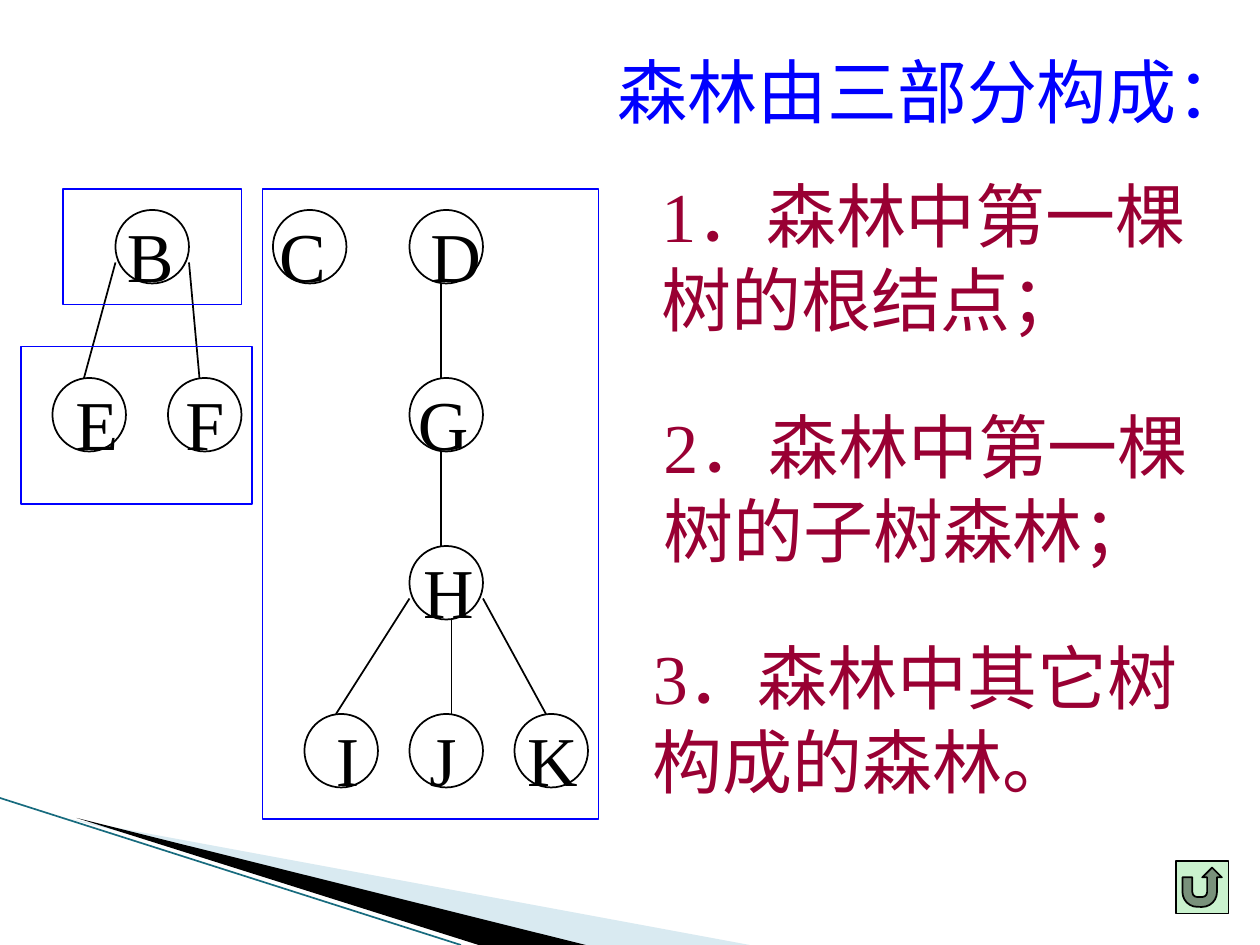
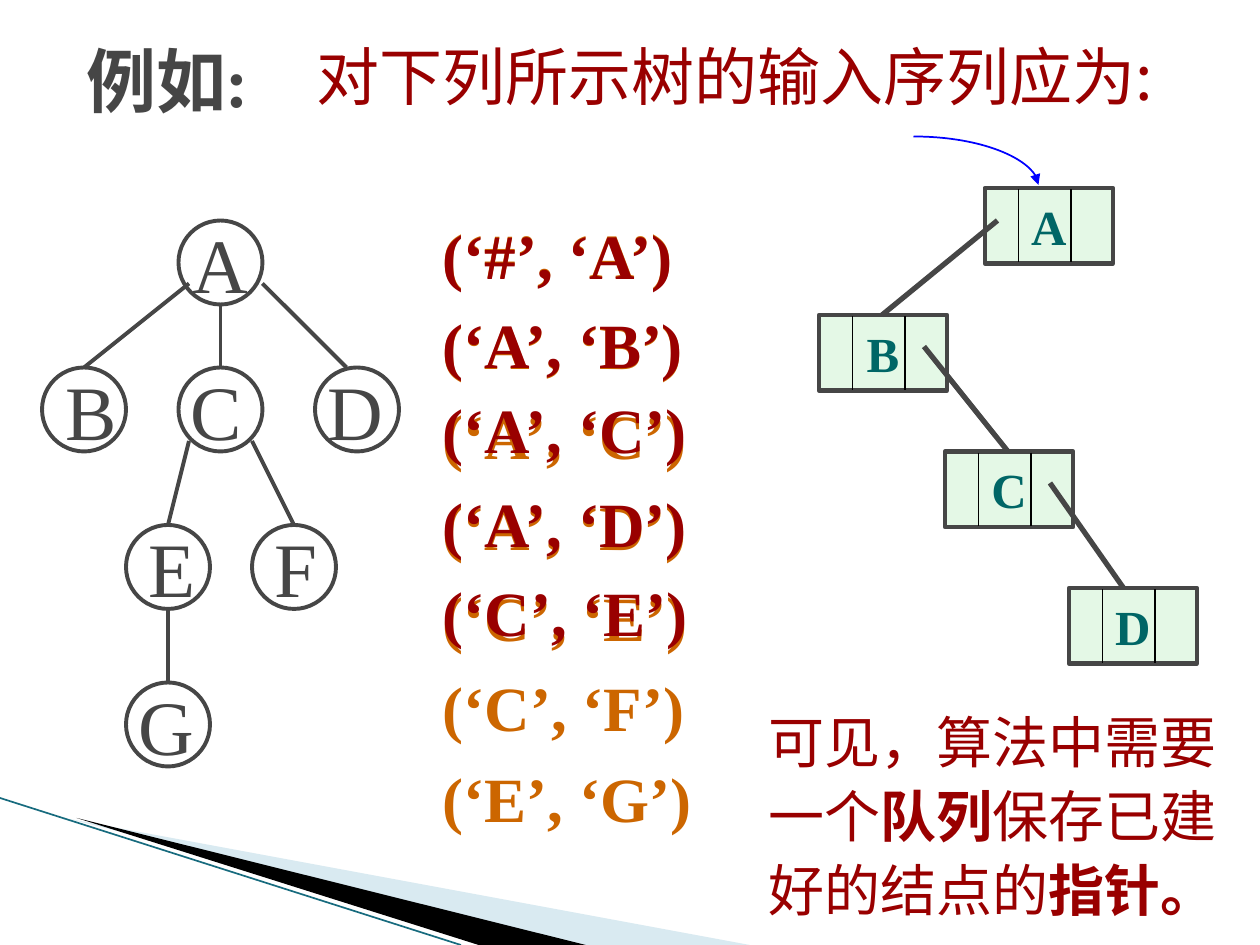
from dataclasses import dataclass, replace
from typing import NamedTuple

from lxml import etree
from pptx import Presentation
from pptx import util as u
from pptx.dml.color import RGBColor
from pptx.enum import shapes, text
from pptx.oxml.ns import qn

WIDTH, HEIGHT = u.Inches(10), u.Inches(7.5)
CELL = WIDTH // 120

BLACK = RGBColor(0x00, 0x00, 0x00)
BLUE = RGBColor(0x00, 0x00, 0xFF)
WINE = RGBColor(0x99, 0x00, 0x33)
RED = RGBColor(0x99, 0x00, 0x00)
ORANGE = RGBColor(0xCC, 0x66, 0x00)
GRAY = RGBColor(0x46, 0x46, 0x46)
GREEN = RGBColor(0xCA, 0xF2, 0xCE)
TEAL = RGBColor(0x00, 0x66, 0x66)
SKY = RGBColor(0xA0, 0xCB, 0xDC)
EDGE = RGBColor(0x17, 0x6B, 0x7E)

TIMES = "Times New Roman"
NOTO = "Noto Sans CJK SC"


@dataclass(frozen=True)
class Style:
    size: float
    color: RGBColor
    font: str = TIMES
    bold: bool = False


class Node(NamedTuple):
    name: str
    col: float
    row: float
    shift: float = 0


class Link(NamedTuple):
    x1: float
    y1: float
    x2: float
    y2: float


class Frame(NamedTuple):
    col: float
    row: float
    wide: float
    high: float


class Part(NamedTuple):
    words: str
    style: Style


class Tree(NamedTuple):
    nodes: list[Node]
    links: list[Link]
    size: float
    drop: float
    pen: float
    style: Style


FOREST = Tree(
    [Node("B", 11, 20, -0.2), Node("C", 26, 20, -0.7), Node("D", 39, 20, 0.9),
     Node("E", 5, 36, 0.7), Node("F", 16, 36), Node("G", 39, 36, -0.3),
     Node("H", 39, 52, 0.2), Node("I", 29, 68, 0.6), Node("J", 39, 68, -0.3),
     Node("K", 49, 68, 0.1)],
    [Link(11, 25, 8, 36), Link(18, 25, 19, 36), Link(42, 27, 42, 36),
     Link(42, 43, 42, 52), Link(43, 59, 43, 68), Link(39, 57, 32, 68),
     Link(46, 57, 52, 68)],
    7, 0.2, 1, Style(40, BLACK))

SAMPLE = Tree(
    [Node("A", 17, 21), Node("B", 4, 35, 0.7), Node("C", 17, 35, -0.4),
     Node("D", 30, 35, -0.2), Node("E", 12, 50, 0.4), Node("F", 24, 50, 0.2),
     Node("G", 12, 65, -0.2)],
    [Link(25, 27, 33, 35), Link(18, 27, 8, 35), Link(18, 42, 16, 50),
     Link(21, 29, 21, 35), Link(24, 42, 28, 50), Link(16, 58, 16, 65)],
    8, -0.4, 2.25, Style(44, GRAY))

GROUPS = [Frame(6, 18, 17, 11), Frame(2, 33, 22, 15), Frame(25, 18, 32, 60)]
POINTS = [
    (Frame(61.8, 15.8, 56.2, 17.2), "1", "．森林中第一棵树的根结点；"),
    (Frame(62, 37.8, 55, 17.2), "2", "．森林中第一棵树的子树森林；"),
    (Frame(61, 59.8, 56.8, 17.2), "3", "．森林中其它树构成的森林。"),
]
PAIRS = ["#A", "AB", "AC", "AD", "CE", "CF", "EG"]
QUEUE_ROWS = [20, 28.5, 36.6, 45.6, 54]
RECORDS = [Node("A", 93.8, 17.9), Node("B", 78, 30), Node("C", 90, 43),
           Node("D", 101.8, 56)]
JOINS = [Link(88, 33, 96, 43), Link(100, 46, 107, 56), Link(95, 21, 84, 30)]


def span(*cells: float) -> list[int]:
    return [round(cell * CELL) for cell in cells]


def add_run(para, part: Part) -> None:
    run = para.add_run()
    run.text = part.words
    font = run.font
    font.name, font.size = part.style.font, u.Pt(part.style.size)
    font.bold, font.color.rgb = part.style.bold, part.style.color
    east = etree.SubElement(font._element, qn("a:ea"))
    east.set("typeface", NOTO)


def write(shape, lines: list[list[Part]], wrap: bool = True,
          align=text.PP_ALIGN.LEFT, anchor=text.MSO_ANCHOR.TOP,
          pace: float = 1, inset: bool = True) -> None:
    frame = shape.text_frame
    frame.auto_size = text.MSO_AUTO_SIZE.NONE
    frame.word_wrap, frame.vertical_anchor = wrap, anchor
    if not inset:
        frame.margin_left = frame.margin_right = 0
        frame.margin_top = frame.margin_bottom = 0
    for index, line in enumerate(lines):
        para = frame.add_paragraph() if index else frame.paragraphs[0]
        para.alignment, para.line_spacing = align, pace
        for part in line:
            add_run(para, part)


def add_text(slide, area: Frame, lines: list[list[Part]], **look) -> None:
    write(slide.shapes.add_textbox(*span(*area)), lines, **look)


def set_title(slide, area: Frame, part: Part) -> None:
    title = slide.shapes.title
    title.left, title.top, title.width, title.height = span(*area)
    write(title, [[part]], wrap=False)


def paint(shape, color: RGBColor, alpha: int = 100) -> None:
    shape.fill.solid()
    shape.fill.fore_color.rgb = color
    if alpha < 100:
        tone = next(shape._element.spPr.iter(qn("a:srgbClr")))
        etree.SubElement(tone, qn("a:alpha")).set("val", str(alpha * 1000))


def add_shape(slide, kind, area: Frame, color: RGBColor, pen: float):
    shape = slide.shapes.add_shape(kind, *span(*area))
    shape.shadow.inherit = False
    shape.fill.background()
    shape.line.color.rgb, shape.line.width = color, u.Pt(pen)
    return shape


def add_line(slide, link: Link, color: RGBColor, pen: float,
             kind=shapes.MSO_CONNECTOR.STRAIGHT):
    line = slide.shapes.add_connector(kind, *span(*link))
    line.line.color.rgb, line.line.width = color, u.Pt(pen)
    etree.SubElement(line._element.spPr, qn("a:effectLst"))
    return line


def add_arrow(slide, link: Link) -> None:
    arrow = add_line(slide, link, BLUE, 1, shapes.MSO_CONNECTOR.CURVE)
    props = arrow._element.spPr
    props.find(qn("a:prstGeom")).set("prst", "curvedConnector2")
    etree.SubElement(props.find(qn("a:ln")), qn("a:tailEnd")).set("type", "triangle")


def add_wedge(slide, corners: list[tuple[float, float]], color: RGBColor,
              alpha: int = 100):
    start, *rest = [tuple(span(*corner)) for corner in corners]
    pen = slide.shapes.build_freeform(*start)
    pen.add_line_segments(rest)
    wedge = pen.convert_to_shape()
    wedge.shadow.inherit = False
    wedge.line.fill.background()
    paint(wedge, color, alpha)
    return wedge


def set_band(slide, master) -> None:
    band = [
        add_wedge(slide, [(6.6, 78), (71.4, 90), (54.7, 90)], SKY, 40),
        add_wedge(slide, [(7.3, 77.9), (55.8, 90), (45.6, 90)], BLACK),
        add_line(slide, Link(0, 76, 43.9, 90), EDGE, 0.95),
    ]
    for item in band:
        master.shapes.element.append(item._element)


def draw_tree(slide, tree: Tree) -> None:
    size = tree.size
    for node in tree.nodes:
        add_shape(slide, shapes.MSO_SHAPE.OVAL,
                  Frame(node.col, node.row, size, size), tree.style.color, tree.pen)
        add_text(slide, Frame(node.col + node.shift, node.row + tree.drop, size, size),
                 [[Part(node.name, tree.style)]], wrap=True,
                 align=text.PP_ALIGN.CENTER, inset=False)
    for link in tree.links:
        add_line(slide, link, tree.style.color, tree.pen)


def draw_record(slide, node: Node) -> None:
    box = add_shape(slide, shapes.MSO_SHAPE.RECTANGLE,
                    Frame(node.col, node.row, 12.2, 7.2), GRAY, 2.5)
    paint(box, GREEN, 50)
    write(box, [[Part(node.name, Style(28, TEAL, bold=True))]],
          align=text.PP_ALIGN.CENTER, anchor=text.MSO_ANCHOR.MIDDLE)
    for step in (3.2, 8.2):
        col = node.col + step
        add_line(slide, Link(col, node.row + 0.1, col, node.row + 7.1), BLACK, 1)


def fill_forest(slide) -> None:
    set_title(slide, Frame(57.6, 4, 62.4, 9.2),
              Part("森林由三部分构成：", Style(40, BLUE)))
    draw_tree(slide, FOREST)
    for group in GROUPS:
        add_shape(slide, shapes.MSO_SHAPE.RECTANGLE, group, BLUE, 1)
    count = Style(40, WINE)
    for area, mark, words in POINTS:
        add_text(slide, area,
                 [[Part(mark, count), Part(words, replace(count, font=NOTO))]])
    button = add_shape(slide, shapes.MSO_SHAPE.ACTION_BUTTON_RETURN,
                       Frame(112, 82, 5, 5), BLACK, 1)
    paint(button, GREEN)


def fill_sample(slide) -> None:
    set_title(slide, Frame(7, 3, 18.1, 9.2), Part("例如:", Style(40, GRAY, bold=True)))
    add_text(slide, Frame(29, 3, 83.4, 8.4),
             [[Part("对下列所示树的输入序列应为:", Style(36, RED, NOTO))]], wrap=False)
    draw_tree(slide, SAMPLE)

    pairs = [f"(‘{first}’, ‘{second}’)" for first, second in PAIRS]
    base = Style(36, ORANGE, bold=True)
    add_text(slide, Frame(41, 18.5, 26, 61.7), [[Part(pair, base)] for pair in pairs],
             wrap=False, pace=1.2)
    for pair, row in zip(pairs, QUEUE_ROWS):
        add_text(slide, Frame(41, row, 26, 8.4),
                 [[Part(pair, replace(base, color=RED))]], wrap=False)

    add_arrow(slide, Link(87, 13, 98.9, 17.6))
    for record in RECORDS:
        draw_record(slide, record)
    for join in JOINS:
        add_line(slide, join, GRAY, 3)

    plain = Style(32, RED)
    strong = replace(plain, bold=True)
    add_text(slide, Frame(72, 66.2, 45.2, 22.3),
             [[Part("可见，算法中需要一个", plain), Part("队列", strong),
               Part("保存已建好的结点的", plain), Part("指针。", strong)]], pace=1.1)


def main() -> None:
    deck = Presentation()
    deck.slide_width, deck.slide_height = WIDTH, HEIGHT
    layout = deck.slide_layouts[5]
    forest, sample = [deck.slides.add_slide(layout) for _ in range(2)]
    set_band(forest, deck.slide_master)
    fill_forest(forest)
    fill_sample(sample)
    deck.save("out.pptx")


if __name__ == "__main__":
    main()
